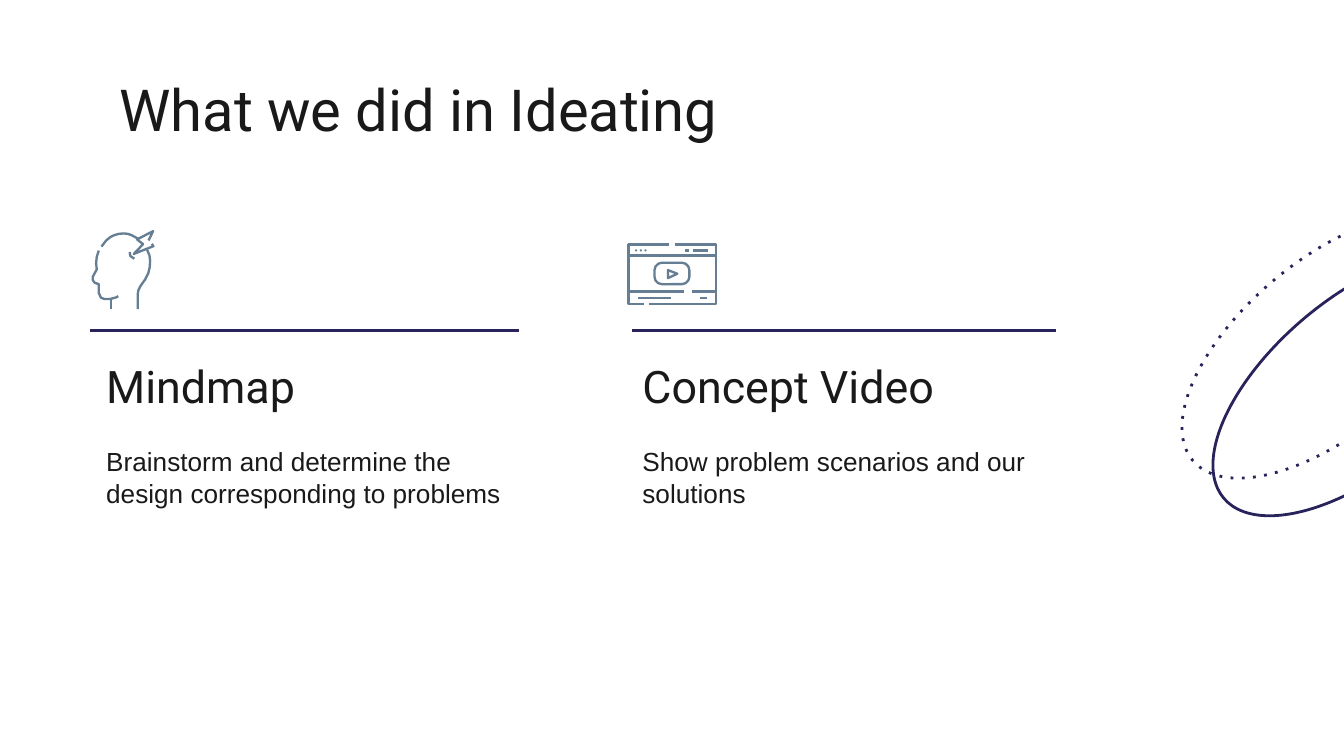
from lxml.etree import SubElement
from pptx import Presentation
from pptx.dml.color import RGBColor
from pptx.enum.shapes import MSO_CONNECTOR, MSO_SHAPE
from pptx.enum.text import MSO_ANCHOR, MSO_AUTO_SIZE, PP_ALIGN
from pptx.oxml.ns import qn
from pptx.util import Inches, Pt

NAVY = RGBColor(0x29, 0x23, 0x5C)
STEEL = RGBColor(0x65, 0x7E, 0x93)
INK = RGBColor(0x19, 0x19, 0x19)
UNIT = Inches(0.01)

HEAD = [
    [(6.5, 15.5), (5, 20), (4.5, 25), (5, 29.5), (2, 35), (2, 37.5),
     (3.5, 39.5), (6.5, 40.5), (6.5, 47), (8, 50.5), (10.5, 51.5),
     (15, 51.5), (19, 50.5), (21, 49.5)],
    [(15.5, 51.5), (15.5, 59)],
    [(8.5, 12.5), (12, 8), (15, 5.5), (18, 4), (21.5, 3), (25, 2.7),
     (28, 3), (31, 4), (35.5, 6.5)],
    [(42.5, 15), (44.2, 19), (44.7, 23), (44.4, 28), (43.3, 32.5),
     (41, 37), (37.5, 42), (36, 45), (35.5, 48), (35.5, 59)],
    [(43.5, 8), (47, 1), (35, 7.2), (39.5, 10.7), (32.5, 18),
     (47.2, 12.2), (46, 10.5)],
    [(29.5, 16.5), (30, 19.5), (33, 21.5)],
]
SCREEN = [
    [(31, 1), (0.7, 1), (0.7, 45), (12, 45)],
    [(35, 1), (66, 1), (66, 45), (16, 45)],
    [(1, 9), (66, 9)],
    [(1, 36), (42, 36)],
    [(48, 36), (66, 36)],
    [(8, 40.5), (32, 40.5)],
    [(54, 40.5), (59, 40.5)],
    [(43, 5.3), (46, 5.3)],
    [(49, 5.3), (60, 5.3)],
    [(30, 20), (37, 22.8), (30, 26), (30, 20)],
]


def ink(shape, color, width):
    shape.line.color.rgb = color
    shape.line.width = Pt(width)


def rule(shapes, start, end, color, width):
    line = shapes.add_connector(MSO_CONNECTOR.STRAIGHT, *start, *end)
    ink(line, color, width)
    SubElement(line._element.spPr, qn("a:effectLst"))


def hollow(shapes, kind, box, color, width):
    shape = shapes.add_shape(kind, *map(int, box))
    shape.shadow.inherit = False
    shape.fill.background()
    ink(shape, color, width)
    return shape


def trace(shapes, left, top, paths):
    for path in paths:
        if len(path) == 2:
            ends = [(int(left + x * UNIT), int(top + y * UNIT)) for x, y in path]
            rule(shapes, *ends, STEEL, 1.25)
            continue
        first, *rest = [(x * 10, y * 10) for x, y in path]
        pen = shapes.build_freeform(*first, scale=UNIT / 10)
        pen.add_line_segments(rest, close=path[0] == path[-1])
        shape = pen.convert_to_shape(left, top)
        shape.shadow.inherit = False
        shape.fill.background()
        ink(shape, STEEL, 1.25)


def head(slide, left, top):
    trace(slide.shapes.add_group_shape().shapes, left, top, HEAD)


def screen(slide, left, top):
    shapes = slide.shapes.add_group_shape().shapes
    trace(shapes, left, top, SCREEN)

    def place(x, y, w, h):
        return left + x * UNIT, top + y * UNIT, w * UNIT, h * UNIT

    frame = hollow(shapes, MSO_SHAPE.ROUNDED_RECTANGLE,
                   place(20, 14.5, 26, 16), STEEL, 1.25)
    frame.adjustments[0] = 0.35
    for col in range(3):
        dot = hollow(shapes, MSO_SHAPE.OVAL,
                     place(5.5 + 3.5 * col, 4.5, 1.6, 1.6), STEEL, 1)
        dot.fill.solid()
        dot.fill.fore_color.rgb = STEEL
        dot.line.fill.background()


def write(holder, box, text, font, size):
    holder.left, holder.top, holder.width, holder.height = box
    frame = holder.text_frame
    frame.text = text
    frame.word_wrap = True
    frame.auto_size = MSO_AUTO_SIZE.NONE
    frame.vertical_anchor = MSO_ANCHOR.MIDDLE
    frame.margin_left = frame.margin_right = Inches(0.1)
    frame.margin_top = frame.margin_bottom = Inches(0.1)
    para = frame.paragraphs[0]
    props = para._p.get_or_add_pPr()
    props.set("marL", "0")
    props.set("indent", "0")
    SubElement(props, qn("a:buNone"))
    para.alignment = PP_ALIGN.LEFT
    para.space_before = Pt(0)
    para.font.name = font
    para.font.size = Pt(size)
    para.font.bold = False
    para.font.color.rgb = INK


def topic(slide, left, top, width, slots, name, note, span):
    holders = slide.placeholders
    write(holders[slots[0]], (left, top + Inches(0.2), width, Inches(0.42)),
          name, "Roboto", 24)
    write(holders[slots[1]], (left, top + Inches(0.7), width, Inches(0.78)),
          note, "Arial", 14)
    start, end = span
    rule(slide.shapes, (left + start, top), (left + end, top), NAVY, 1.5)


def orbits(slide, left, top, width, height):
    gap = Inches(0.23), Inches(0.28)
    for step, dash in ((1, "solid"), (0, "dot")):
        box = left + step * gap[0], top + step * gap[1], width, height
        ring = hollow(slide.shapes, MSO_SHAPE.OVAL, box, NAVY, 1.5)
        ring.rotation = 230
        SubElement(ring.line._get_or_add_ln(), qn("a:prstDash"), val=dash)


def main():
    deck = Presentation()
    deck.slide_width = Inches(10)
    deck.slide_height = deck.slide_width * 9 // 16
    slide = deck.slides.add_slide(deck.slide_layouts[4])
    orbits(slide, Inches(9.25), Inches(1.25), Inches(1.28), Inches(2.65))
    write(slide.shapes.title,
          (Inches(0.79), Inches(0.49), Inches(8.43), Inches(0.63)),
          "What we did in Ideating", "Roboto", 31)
    top, width = Inches(2.46), Inches(3.18)
    topic(slide, Inches(0.69), top, width, (1, 2), "Mindmap",
          "Brainstorm and determine the design corresponding to problems",
          (Inches(-0.02), Inches(3.17)))
    topic(slide, Inches(4.68), top, width, (3, 4), "Concept Video",
          "Show problem scenarios and our solutions",
          (Inches(0.02), width))
    head(slide, Inches(0.67), Inches(1.71))
    screen(slide, Inches(4.67), Inches(1.81))
    deck.save("out.pptx")


if __name__ == "__main__":
    main()
